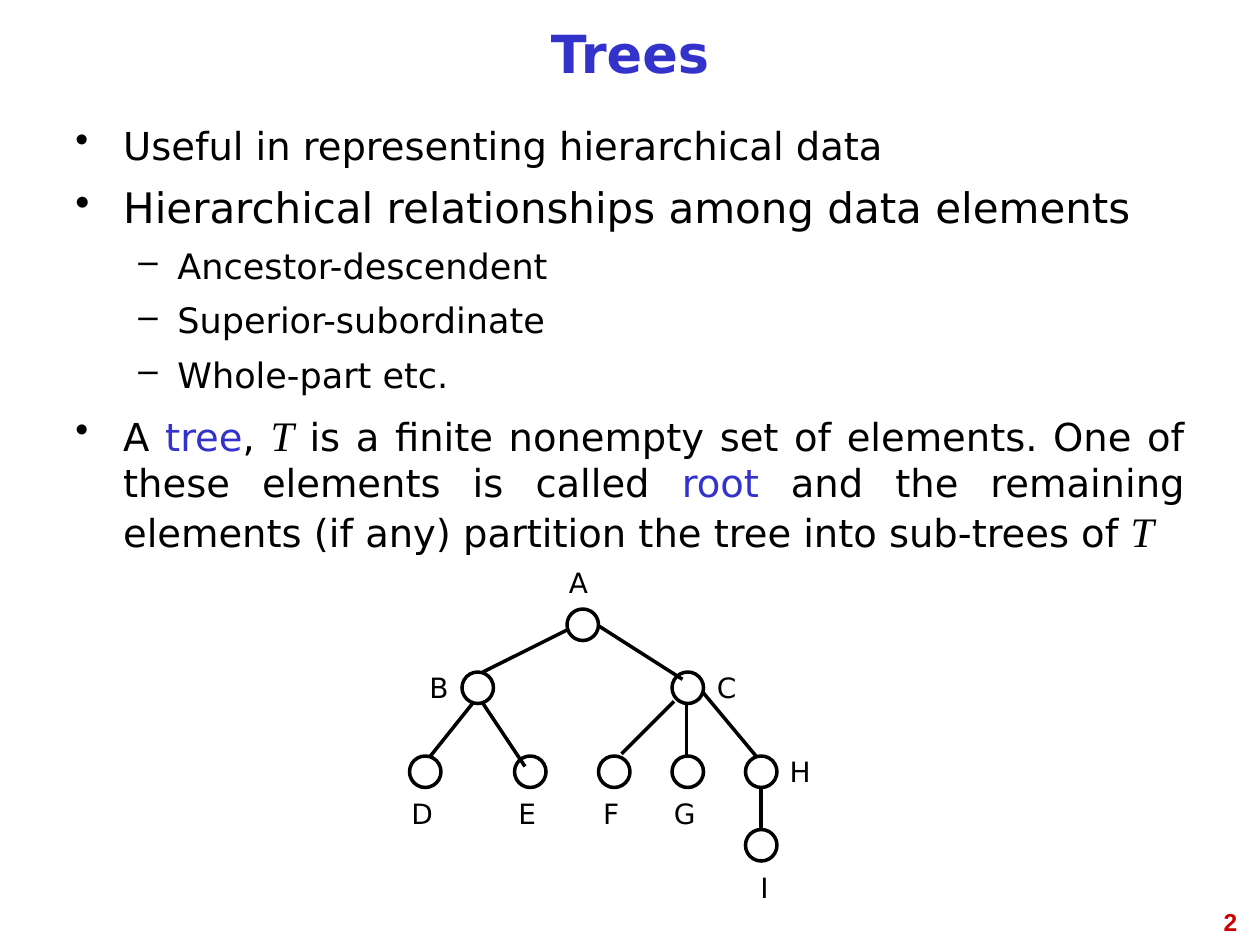
from lxml import etree
from pptx import Presentation
from pptx.dml.color import RGBColor
from pptx.enum.shapes import MSO_CONNECTOR, MSO_SHAPE
from pptx.enum.text import MSO_ANCHOR, PP_ALIGN
from pptx.oxml.ns import qn
from pptx.util import Inches, Pt

LINE, OVAL = MSO_CONNECTOR.STRAIGHT, MSO_SHAPE.OVAL
TOP, MIDDLE = MSO_ANCHOR.TOP, MSO_ANCHOR.MIDDLE
CENTER, RIGHT, JUSTIFY = PP_ALIGN.CENTER, PP_ALIGN.RIGHT, PP_ALIGN.JUSTIFY
COLORS = {"ink": "000000", "blue": "3333CC", "red": "CC0000"}
SANS, SERIF = "DejaVu Sans", "Times New Roman"
MATH = {"font": SERIF, "size": 24, "italic": True}
KEY = {"size": 22, "color": "blue"}
LEVELS = {0: ("•", 0.38, -0.38, 8), 1: ("–", 0.81, -0.31, 7)}

POINTS = [
    (0, [("Useful in representing hierarchical data", {"size": 22})]),
    (0, [("Hierarchical relationships among data elements", {"size": 24})]),
    (1, [("Ancestor-descendent", {"size": 20})]),
    (1, [("Superior-subordinate", {"size": 20})]),
    (1, [("Whole-part etc.", {"size": 20})]),
    (0, [("A ", {"size": 22}), ("tree", KEY), (", ", {"size": 22}), ("T", MATH),
         (" is a finite nonempty set of elements. One of these elements is called ", {"size": 22}),
         ("root", KEY),
         (" and the remaining elements (if any) partition the tree into sub-trees of ", {"size": 22}),
         ("T", MATH)]),
]
NODES = {
    "A": (54, 58, "above"), "B": (44, 64, "left"), "C": (64, 64, "right"),
    "D": (39, 72, "below"), "E": (49, 72, "below"), "F": (57, 72, "below"),
    "G": (64, 72, "below"), "H": (71, 72, "right"), "I": (71, 79, "foot"),
}
SIDES = {"above": (-1.7, -5), "left": (-5, -1), "right": (2.4, -1),
         "below": (-1.6, 3), "foot": (-1, 3)}
EDGES = [
    (46, 64, 54, 60), (57, 59.6, 65, 64.7), (45, 67, 41, 72), (46, 67, 50, 73),
    (59.2, 71.8, 64.2, 66.8), (65.4, 72, 65.4, 67), (67, 66, 72, 72), (72.5, 75, 72.5, 79),
]


def write(par, text, font=SANS, size=16, color="ink", bold=False, italic=False):
    run = par.add_run()
    run.text = text
    run.font.name, run.font.size = font, Pt(size)
    run.font.bold, run.font.italic = bold, italic
    run.font.color.rgb = RGBColor.from_string(COLORS[color])


class Deck:
    """Draws on a grid of 120 columns and 90 rows."""

    def __init__(self):
        self.prs = Presentation()
        self.prs.slide_width, self.prs.slide_height = Inches(10), Inches(7.5)
        self.slide = self.prs.slides.add_slide(self.prs.slide_layouts[6])

    def grid(self, *cells):
        return [int(cell * self.prs.slide_width / 120) for cell in cells]

    def frame(self, *cells, anchor=TOP, wrap=True):
        frame = self.slide.shapes.add_textbox(*self.grid(*cells)).text_frame
        frame.word_wrap, frame.vertical_anchor = wrap, anchor
        return frame

    def label(self, text, *cells, align=CENTER, anchor=MIDDLE, wrap=True, space=1.0, **style):
        par = self.frame(*cells, anchor=anchor, wrap=wrap).paragraphs[0]
        par.alignment, par.line_spacing = align, space
        write(par, text, **style)

    def bullets(self, points, *cells):
        frame = self.frame(*cells)
        for i, (level, runs) in enumerate(points):
            par = frame.add_paragraph() if i else frame.paragraphs[0]
            mark, left, hang, gap = LEVELS[level]
            par.level, par.alignment, par.space_before = level, JUSTIFY, Pt(gap)
            props = par._p.get_or_add_pPr()
            props.set("marL", str(Inches(left)))
            props.set("indent", str(Inches(hang)))
            tint = etree.SubElement(props, qn("a:buClr"))
            etree.SubElement(tint, qn("a:srgbClr"), val=COLORS["ink"])
            etree.SubElement(props, qn("a:buChar"), char=mark)
            for text, style in runs:
                write(par, text, **style)

    def stroke(self, item):
        item.line.color.rgb = RGBColor.from_string(COLORS["ink"])
        item.line.width = Pt(2)

    def node(self, name, col, row, side):
        ring = self.slide.shapes.add_shape(OVAL, *self.grid(col, row, 3, 3))
        ring.shadow.inherit = False
        ring.fill.background()
        self.stroke(ring)
        right, down = SIDES[side]
        self.label(name, col + right, row + down, 5.6, 5, wrap=False)

    def edge(self, *ends):
        line = self.slide.shapes.add_connector(LINE, *self.grid(*ends))
        etree.SubElement(line._element.spPr, qn("a:effectLst"))
        self.stroke(line)


def main():
    deck = Deck()
    deck.label("2", 91, 85.8, 28, 6.2, align=RIGHT, anchor=TOP,
               font="Arial", size=14, color="red", bold=True)
    deck.label("Trees", 6, 1, 108, 9, space=0.81, size=30, color="blue", bold=True)
    deck.bullets(POINTS, 6, 11, 108, 70)
    for name, place in NODES.items():
        deck.node(name, *place)
    for ends in EDGES:
        deck.edge(*ends)
    deck.prs.save("out.pptx")


if __name__ == "__main__":
    main()
